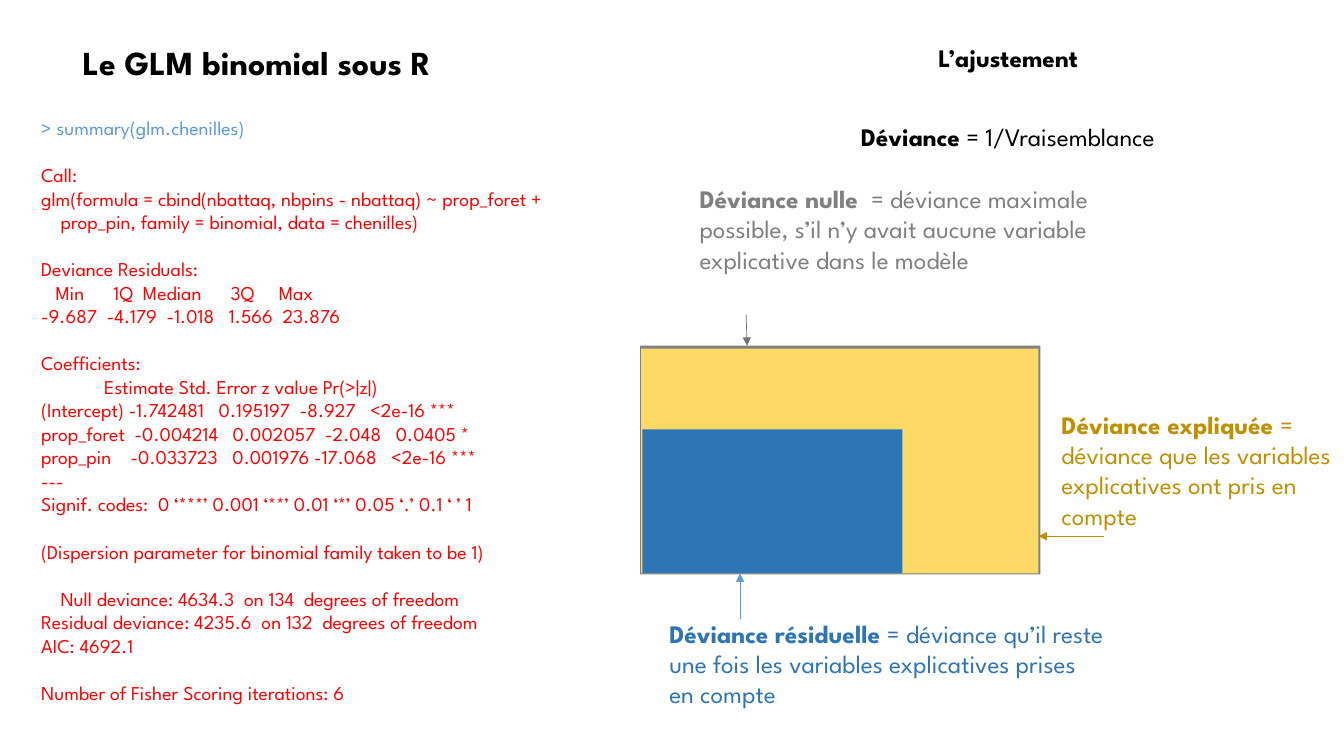
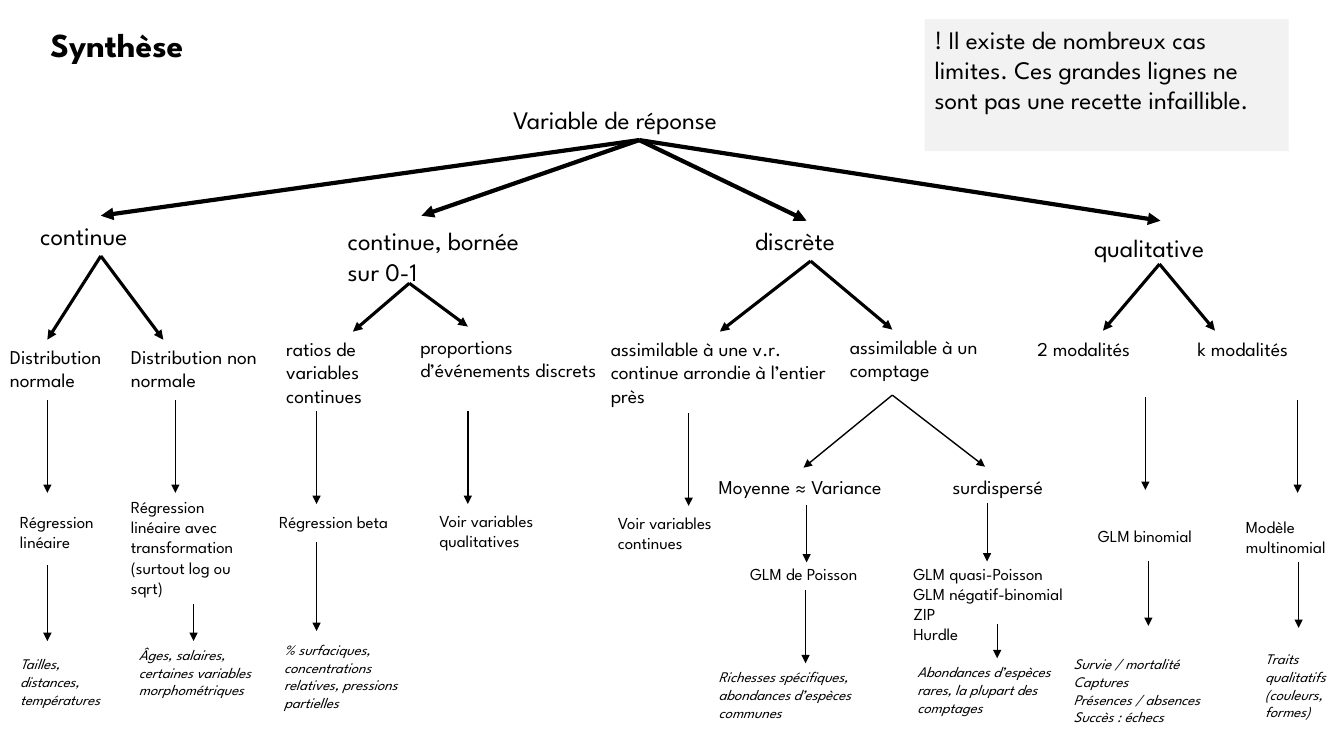
"""Build two slides on binomial GLMs: deviance and a model selection tree."""
from pptx import Presentation
from pptx.dml.color import RGBColor
from pptx.enum.shapes import MSO_CONNECTOR as LineKind, MSO_SHAPE as Preset
from pptx.enum.text import MSO_ANCHOR as Anchor, MSO_AUTO_SIZE as AutoSize, PP_ALIGN as Align
from pptx.oxml.xmlchemy import OxmlElement
from pptx.util import Inches, Pt

FONT = "League Spartan"
BLACK = RGBColor(0x00, 0x00, 0x00)
GREY = RGBColor(0x80, 0x80, 0x80)
DARK_GREY = RGBColor(0x76, 0x71, 0x71)
LIGHT_GREY = RGBColor(0xF2, 0xF2, 0xF2)
YELLOW = RGBColor(0xFF, 0xD9, 0x66)
GOLD = RGBColor(0xBF, 0x90, 0x00)
BLUE = RGBColor(0x2E, 0x75, 0xB6)
LIGHT_BLUE = RGBColor(0x5B, 0x9B, 0xD5)
RED = RGBColor(0xFF, 0x00, 0x00)

TITLE_SIZE, LARGE, MEDIUM, SMALL, TINY = 24, 18, 14, 12, 10.5
CONSOLE_GAP = Pt(16.8)

CONSOLE_GROUPS = [
    ["> summary(glm.chenilles)"],
    [
        "Call:",
        "glm(formula = cbind(nbattaq, nbpins - nbattaq) ~ prop_foret +",
        "    prop_pin, family = binomial, data = chenilles)",
    ],
    [
        "Deviance Residuals:",
        "   Min      1Q  Median      3Q     Max",
        "-9.687  -4.179  -1.018   1.566  23.876",
    ],
    [
        "Coefficients:",
        "             Estimate Std. Error z value Pr(>|z|)",
        "(Intercept) -1.742481   0.195197  -8.927   <2e-16 ***",
        "prop_foret  -0.004214   0.002057  -2.048   0.0405 *",
        "prop_pin    -0.033723   0.001976 -17.068   <2e-16 ***",
        "---",
        "Signif. codes:  0 ‘***’ 0.001 ‘**’ 0.01 ‘*’ 0.05 ‘.’ 0.1 ‘ ’ 1",
    ],
    ["(Dispersion parameter for binomial family taken to be 1)"],
    [
        "    Null deviance: 4634.3  on 134  degrees of freedom",
        "Residual deviance: 4235.6  on 132  degrees of freedom",
        "AIC: 4692.1",
    ],
    ["Number of Fisher Scoring iterations: 6"],
]

DEFINITIONS = [
    ((9.21, 0.37, 1.8, 0.4), BLACK, "L’ajustement", ""),
    ((8.44, 1.15, 4.53, 0.4), BLACK, "Déviance", " = 1/Vraisemblance"),
    ((6.84, 1.77, 4.53, 1.31), GREY, "Déviance nulle ",
     " = déviance maximale possible, s’il n’y avait aucune variable explicative dans le modèle"),
    ((6.54, 6.08, 4.53, 1.01), BLUE, "Déviance résiduelle ",
     "= déviance qu’il reste une fois les variables explicatives prises en compte"),
    ((10.43, 4.01, 2.9, 1.31), GOLD, "Déviance expliquée ",
     "= déviance que les variables explicatives ont pris en compte"),
]

RESPONSE_TYPES = [
    ((4.99, 0.99, 2.7, 0.4), "Variable de réponse"),
    ((0.3, 2.14, 1.42, 0.4), "continue"),
    ((3.35, 2.19, 2.02, 0.71), "continue, bornée sur 0-1"),
    ((7.39, 2.19, 1.2, 0.4), "discrète"),
    ((10.75, 2.26, 2.02, 0.4), "qualitative"),
]

CASES = [
    ((0, 3.37, 1.52, 0.57), "Distribution normale"),
    ((1.2, 3.37, 1.52, 0.57), "Distribution non normale"),
    ((2.74, 3.29, 1.52, 0.81), "ratios de variables continues"),
    ((4.07, 3.27, 2.1, 0.81), "proportions d’événements discrets"),
    ((5.96, 3.29, 2.37, 0.81), "assimilable à une v.r. continue arrondie à l’entier près"),
    ((8.33, 3.27, 2.02, 0.57), "assimilable à un comptage"),
    ((10.19, 3.29, 2.02, 0.34), "2 modalités"),
    ((11.78, 3.29, 1.45, 0.34), "k modalités"),
    ((7.03, 4.66, 2.35, 0.34), "Moyenne ≈ Variance"),
    ((9.35, 4.66, 1.34, 0.34), "surdispersé"),
]

MODELS = [
    ((0.1, 5.03, 1.1, 0.5), "Régression linéaire"),
    ((1.2, 4.88, 1.46, 1.11), "Régression linéaire avec transformation (surtout log ou sqrt)"),
    ((2.67, 5.03, 1.59, 0.3), "Régression beta"),
    ((4.26, 5.02, 1.59, 0.5), "Voir variables qualitatives"),
    ((6.03, 5.04, 1.59, 0.5), "Voir variables continues"),
    ((7.34, 5.54, 1.59, 0.3), "GLM de Poisson"),
    ((8.96, 5.54, 2.12, 0.91), "GLM quasi-Poisson\nGLM négatif-binomial\nZIP\nHurdle"),
    ((10.79, 5.17, 1.45, 0.3), "GLM binomial"),
    ((12.26, 5.08, 1.07, 0.5), "Modèle multinomial"),
]

EXAMPLES = [
    ((0.1, 6.45, 1.18, 0.63), "Tailles, distances, températures"),
    ((1.28, 6.36, 1.49, 0.81), "Âges, salaires, certaines variables morphométriques"),
    ((2.72, 6.31, 1.49, 0.81), "% surfaciques, concentrations relatives, pressions partielles"),
    ((7.03, 6.58, 1.79, 0.63), "Richesses spécifiques, abondances d’espèces communes"),
    ((9, 6.53, 1.79, 0.81), "Abondances d’espèces rares, la plupart des comptages"),
    ((10.55, 6.45, 1.81, 0.81),
     "Survie / mortalité\nCaptures\nPrésences / absences\nSuccès : échecs"),
    ((12.45, 6.4, 0.88, 0.81), "Traits qualitatifs (couleurs, formes)"),
]

BRANCHES = [
    ((6.34, 1.39), [(1, 2.14), (4.18, 2.14), (8, 2.19), (11.51, 2.19)], 3),
    ((1, 2.54), [(0.47, 3.37), (1.62, 3.37)], 2.25),
    ((4.06, 2.81), [(3.5, 3.29), (4.64, 3.24)], 2.25),
    ((8.04, 2.59), [(7.14, 3.29), (8.85, 3.27)], 2.25),
    ((11.5, 2.62), [(10.94, 3.28), (12.05, 3.28)], 2.25),
    ((8.85, 3.92), [(7.97, 4.64), (9.77, 4.63)], 1),
]

MODEL_DROP = 0.92
MODEL_DROPS = [(0.47, 3.97), (1.74, 3.97), (3.14, 4.08), (4.64, 4.08),
               (6.83, 4.1), (11.36, 3.94), (12.87, 3.97)]
THIN_DROPS = [(8, 5.01, 5.58), (9.79, 4.99, 5.57), (0.47, 5.61, 6.36),
              (1.92, 5.99, 6.36), (3.14, 5.38, 6.26), (7.99, 5.85, 6.58),
              (9.89, 6.19, 6.53), (11.39, 5.57, 6.21), (12.88, 5.58, 6.23)]


def format_runs(para, size, color, bold=False, italic=False):
    """Give every run of a paragraph the same font."""
    for span in para.runs:
        font = span.font
        font.name, font.size = FONT, Pt(size)
        font.bold, font.italic = bold, italic
        font.color.rgb = color


def prepare_frame(box):
    """Make a shape's text wrap and start at the top left."""
    frame = box.text_frame
    frame.word_wrap = True
    frame.auto_size = AutoSize.NONE
    frame.vertical_anchor = Anchor.TOP
    return frame


def set_text(box, text, size, color=BLACK, bold=False, italic=False):
    """Fill a shape with uniformly formatted, left-aligned text."""
    frame = prepare_frame(box)
    frame.text = text
    for para in frame.paragraphs:
        para.alignment = Align.LEFT
        format_runs(para, size, color, bold, italic)


def add_titled_page(deck, text, place):
    """Add a slide whose title placeholder sits at the given place."""
    page = deck.slides.add_slide(deck.slide_layouts[5])
    title = page.shapes.title
    title.left, title.top, title.width, title.height = map(Inches, place)
    set_text(title, text, TITLE_SIZE, bold=True)
    return page


def add_box(page, place):
    """Add an empty text box."""
    return page.shapes.add_textbox(*map(Inches, place))


def add_labels(page, labels, size, italic=False):
    """Add one level of tree labels."""
    for place, text in labels:
        set_text(add_box(page, place), text, size, italic=italic)


def add_definition(page, place, color, term, meaning):
    """Add a bold term followed by its meaning."""
    box = add_box(page, place)
    set_text(box, term, LARGE, color, bold=True)
    if meaning:
        span = box.text_frame.paragraphs[0].add_run()
        span.text = meaning
        span.font.name, span.font.size = FONT, Pt(LARGE)
        span.font.color.rgb = color


def add_console(page, place):
    """Add the console session, its groups set apart by paragraph spacing."""
    box = add_box(page, place)
    set_text(box, "\n".join(line for group in CONSOLE_GROUPS for line in group), MEDIUM, RED)
    paras = box.text_frame.paragraphs
    format_runs(paras[0], MEDIUM, LIGHT_BLUE)
    start = 0
    for group in CONSOLE_GROUPS[:-1]:
        start += len(group)
        paras[start].space_before = CONSOLE_GAP


def add_block(page, place, color):
    """Add a plain filled rectangle."""
    block = page.shapes.add_shape(Preset.RECTANGLE, *map(Inches, place))
    block.shadow.inherit = False
    block.fill.solid()
    block.fill.fore_color.rgb = color
    block.line.fill.background()
    return block


def add_arrow(page, start, end, width, color=BLACK):
    """Add a straight arrow pointing at its end."""
    arrow = page.shapes.add_connector(LineKind.STRAIGHT, *map(Inches, (*start, *end)))
    arrow.line.color.rgb = color
    arrow.line.width = Pt(width)
    head = OxmlElement("a:tailEnd")
    head.set("type", "triangle")
    arrow.get_or_add_ln().append(head)
    arrow.element.spPr.append(OxmlElement("a:effectLst"))


def build_deviance_page(deck):
    """Show the model summary beside the nested deviance areas."""
    page = add_titled_page(deck, "Le GLM binomial sous R", (0.72, 0.37, 12.24, 0.81))
    add_block(page, (6.35, 3.43, 3.97, 2.27), GREY)
    add_block(page, (6.36, 3.46, 3.94, 2.23), YELLOW)
    add_block(page, (6.37, 4.26, 2.58, 1.43), BLUE)
    for definition in DEFINITIONS:
        add_definition(page, *definition)
    add_arrow(page, (7.4, 3.12), (7.41, 3.43), 0.5, DARK_GREY)
    add_arrow(page, (7.34, 6.14), (7.34, 5.69), 0.5, LIGHT_BLUE)
    add_arrow(page, (10.95, 5.32), (10.3, 5.32), 0.5, GOLD)
    add_console(page, (0.31, 1.1, 6.67, 5.99))


def build_tree_page(deck):
    """Show the tree from response variable to model and examples."""
    page = add_titled_page(deck, "Synthèse", (0.4, 0.19, 7.94, 0.5))
    for start, ends, width in BRANCHES:
        for end in ends:
            add_arrow(page, start, end, width)
    for x, top in MODEL_DROPS:
        add_arrow(page, (x, top), (x, top + MODEL_DROP), 1)
    for x, top, bottom in THIN_DROPS:
        add_arrow(page, (x, top), (x, bottom), 0.5)
    add_labels(page, RESPONSE_TYPES, LARGE)
    add_labels(page, CASES, MEDIUM)
    add_labels(page, MODELS, SMALL)
    add_labels(page, EXAMPLES, TINY, italic=True)
    warning = add_block(page, (9.17, 0.19, 3.61, 1.31), LIGHT_GREY)
    set_text(warning, "! Il existe de nombreux cas limites. Ces grandes lignes ne sont "
             "pas une recette infaillible.", LARGE)


def main():
    """Build and save the deck."""
    deck = Presentation()
    deck.slide_width, deck.slide_height = Inches(13.33), Inches(7.5)
    build_deviance_page(deck)
    build_tree_page(deck)
    deck.save("out.pptx")


if __name__ == "__main__":
    main()
